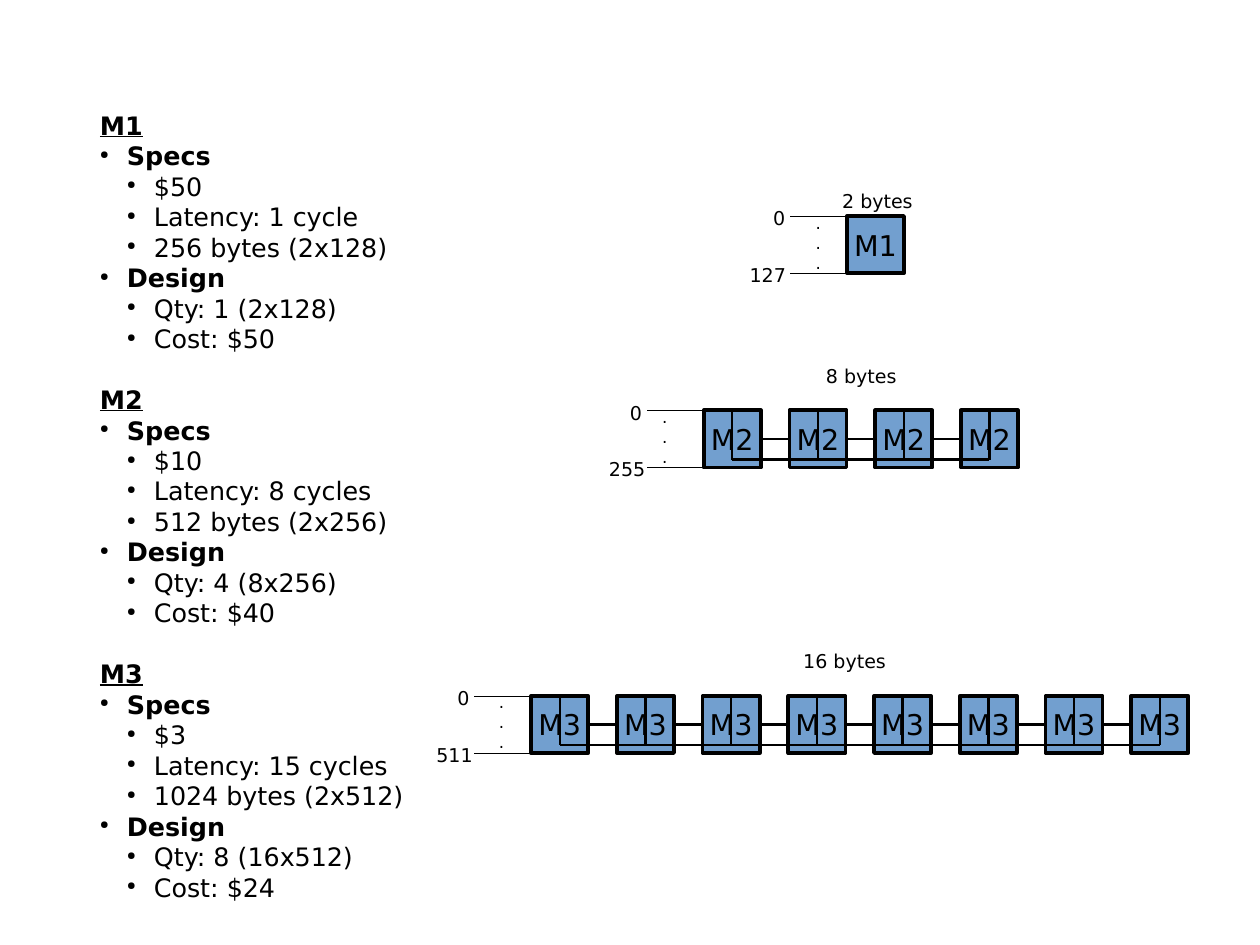
import pptx
import pptx.dml.color
import pptx.enum.shapes
import pptx.enum.text
import pptx.oxml.ns
import pptx.util
from lxml import etree

Pt = pptx.util.Pt
BOX, PITCH = 36, 54   # memory chip size and spacing
BUS_DROP = 31         # from chip top to shared bus

# name, spec lines, design lines
NOTES = [
    ("M1", ["$50", "Latency: 1 cycle", "256 bytes (2x128)"],
     ["Qty: 1 (2x128)", "Cost: $50"]),
    ("M2", ["$10", "Latency: 8 cycles", "512 bytes (2x256)"],
     ["Qty: 4 (8x256)", "Cost: $40"]),
    ("M3", ["$3", "Latency: 15 cycles", "1024 bytes (2x512)"],
     ["Qty: 8 (16x512)", "Cost: $24"]),
]

# name, chip count, left, top, last address, its offset, dots offset,
# row width label, label left, label top
BANKS = [
    ("M1", 1, 533.5, 136.1, "127", 68.4, 26.8, "2 bytes", 523.4, 115.9),
    ("M2", 4, 443.3, 258.5, "255", 66.8, 33.2, "8 bytes", 513.2, 226),
    ("M3", 8, 334.6, 438.4, "511", 66.8, 27.4, "16 bytes", 498.9, 405.4),
]


def color(value):
    return pptx.dml.color.RGBColor.from_string(value)


def set_font(p, size, bold=False, underline=False):
    f = p.font
    f.name, f.size = "DejaVu Sans", Pt(size)
    f.bold, f.underline = bold, underline
    f.color.rgb = color("000000")


def add_text(s, x, y, w, h, lines, size):
    tf = s.shapes.add_textbox(Pt(x), Pt(y), Pt(w), Pt(h)).text_frame
    tf.word_wrap = True
    tf.text = "\n".join(lines)
    for p in tf.paragraphs:
        set_font(p, size)
    return tf


def add_bullet(p, level):
    p.level = level
    pPr = p._p.get_or_add_pPr()
    pPr.set("marL", str(Pt(17 * (level + 1))))
    pPr.set("indent", str(Pt(-17)))
    for tag, key, value in (("a:buSzPct", "val", "45000"),
                            ("a:buChar", "char", "●")):
        # Bullet settings come before the default run settings
        bullet = etree.Element(pptx.oxml.ns.qn(tag))
        bullet.set(key, value)
        pPr.find(pptx.oxml.ns.qn("a:defRPr")).addprevious(bullet)


def add_notes(s):
    rows = []
    for name, specs, design in NOTES:
        rows += [(name, None), ("Specs", 0)] + [(t, 1) for t in specs]
        rows += [("Design", 0)] + [(t, 1) for t in design]
    tf = add_text(s, 55.9, 65.8, 206, 487.4, [t for t, _ in rows], 16)
    for i, (p, (_, level)) in enumerate(zip(tf.paragraphs, rows)):
        if level is not None:
            add_bullet(p, level)
        elif i:
            p.space_before = Pt(19.2)
        set_font(p, 16, bold=level != 1, underline=level is None)


def add_line(s, x1, y1, x2, y2, width):
    c = s.shapes.add_connector(pptx.enum.shapes.MSO_CONNECTOR.STRAIGHT,
                               Pt(x1), Pt(y1), Pt(x2), Pt(y2))
    c.line.color.rgb = color("000000")
    c.line.width = Pt(width)
    etree.SubElement(c._element.spPr, pptx.oxml.ns.qn("a:effectLst"))
    return c


def add_chip(s, x, y, name):
    sp = s.shapes.add_shape(pptx.enum.shapes.MSO_SHAPE.RECTANGLE,
                            Pt(x), Pt(y), Pt(BOX), Pt(BOX))
    sp.shadow.inherit = False
    sp.fill.solid()
    sp.fill.fore_color.rgb = color("729FCF")
    sp.line.color.rgb = color("000000")
    sp.line.width = Pt(2.3)
    tf = sp.text_frame
    tf.word_wrap = False
    tf.margin_left = tf.margin_right = tf.margin_top = tf.margin_bottom = 0
    tf.vertical_anchor = pptx.enum.text.MSO_ANCHOR.MIDDLE
    p = tf.paragraphs[0]
    p.text = name
    p.alignment = pptx.enum.text.PP_ALIGN.CENTER
    set_font(p, 18)
    return sp


def add_bank(s, name, count, x, y, last, last_dx, dots_dx,
             label, label_x, label_y):
    lefts = [x + i * PITCH for i in range(count)]
    chips = [add_chip(s, left, y, name) for left in lefts]

    # Links between neighbours
    mid = y + BOX / 2
    for i, left in enumerate(lefts[1:]):
        c = add_line(s, left - PITCH + BOX, mid, left, mid, 1.5)
        c.begin_connect(chips[i], 3)
        c.end_connect(chips[i + 1], 1)

    # Shared bus
    if count > 1:
        centers = [left + BOX / 2 for left in lefts]
        bus = y + BUS_DROP
        for chip, cx in zip(chips, centers):
            add_line(s, cx, y, cx, bus, 1.5).begin_connect(chip, 0)
        add_line(s, centers[0], bus, centers[-1], bus, 1.5)

    # Address range and row width
    for line_y in (y, y + BOX):
        add_line(s, x, line_y, x - 36, line_y, 0.25)
    add_text(s, x - 53.5, y - 9.4, 21.6, 20.9, ["0"], 12)
    add_text(s, x - last_dx, y + 26.4, 40, 20.9, [last], 12)
    add_text(s, x - dots_dx, y - 5.8, 17.3, 44, ["."] * 3, 10.5)
    add_text(s, label_x, label_y, 68, 20.9, [label], 12)


def main():
    prs = pptx.Presentation()
    prs.slide_width, prs.slide_height = Pt(793.7), Pt(595.28)
    s = prs.slides.add_slide(prs.slide_layouts[6])
    add_notes(s)
    for bank in BANKS:
        add_bank(s, *bank)
    prs.save("out.pptx")


if __name__ == "__main__":
    main()
